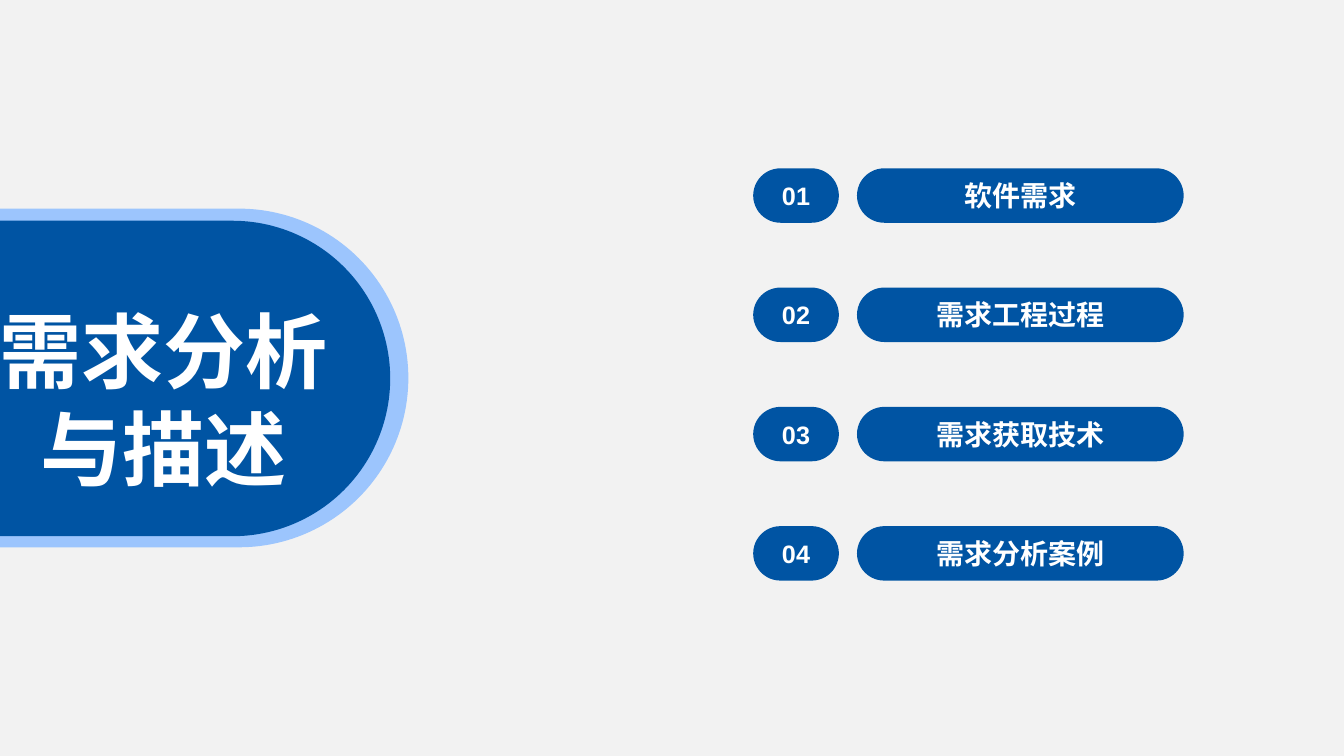
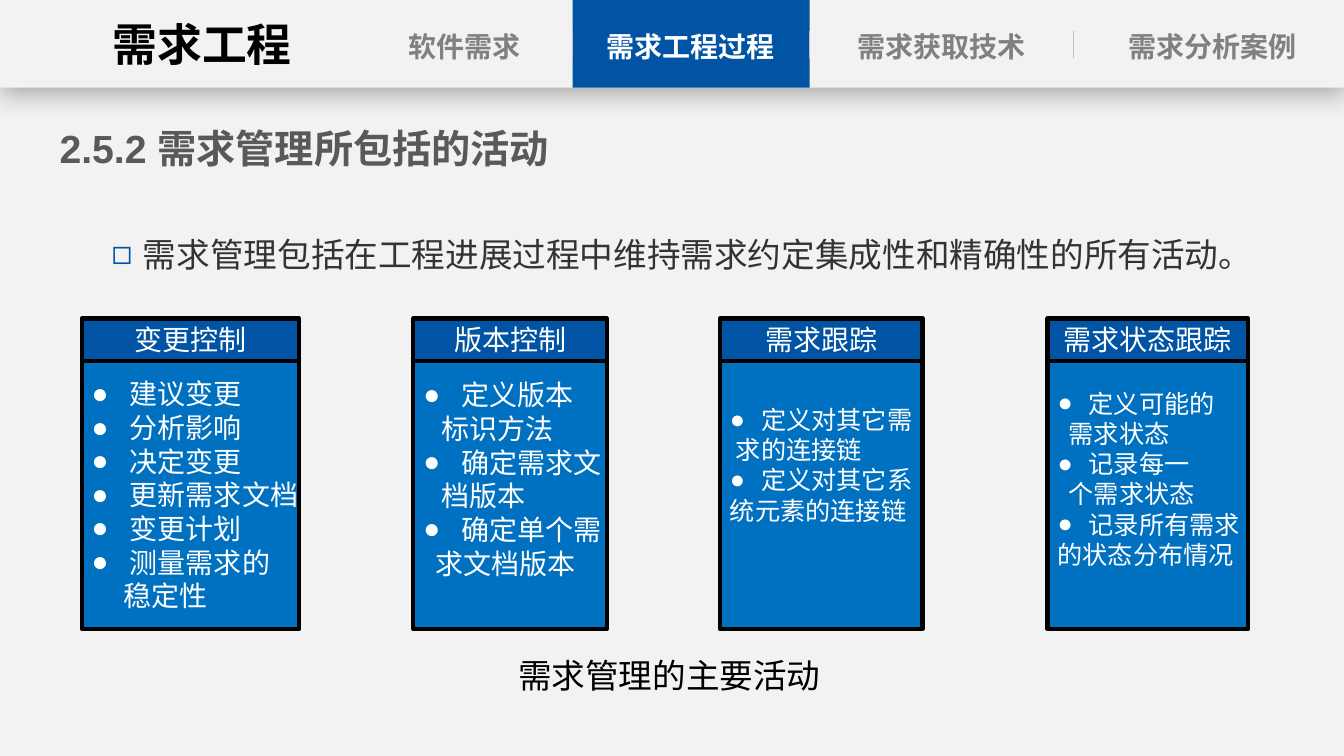
from dataclasses import dataclass
from typing import Any

from pptx import Presentation
from pptx.dml.color import RGBColor
from pptx.enum.lang import MSO_LANGUAGE_ID as Language
from pptx.enum.shapes import MSO_CONNECTOR as Connector, MSO_SHAPE as Preset
from pptx.enum.text import MSO_ANCHOR as Anchor, MSO_AUTO_SIZE as AutoSize, PP_ALIGN as Align
from pptx.oxml import parse_xml
from pptx.oxml.ns import nsdecls, qn
from pptx.util import Inches, Pt

COLORS = {
    "page": "F2F2F2",
    "primary": "0054A3",
    "halo": "9CC5FD",
    "card": "0070C0",
    "white": "FFFFFF",
    "black": "000000",
    "heading": "595959",
    "body": "333333",
    "muted": "808080",
    "divider": "BFBFBF",
}
FONT = "Arial"
SECTIONS = ["软件需求", "需求工程过程", "需求获取技术", "需求分析案例"]
TITLE_ONLY = 5
FLUSH = {"margin_left": 0, "margin_right": 0}


@dataclass(frozen=True)
class Style:
    size: float
    color: str
    bold: bool = False
    align: Align = Align.CENTER


@dataclass(frozen=True)
class Line:
    """One paragraph; indent is where its text starts, in inches."""
    text: str
    indent: float = 0
    bullet: str = ""
    bullet_color: str = ""
    spacing: float = 1


@dataclass(frozen=True)
class Tab:
    left: float
    width: float


@dataclass(frozen=True)
class Card:
    heading: str
    left: float
    width: float
    size: float
    top_margin: float
    lines: list[Line]


def item(text: str, indent: float) -> Line:
    return Line(text, indent, "●")


def rgb(name: str) -> RGBColor:
    return RGBColor.from_string(COLORS[name])


def set_bullet(paragraph: Any, line: Line) -> None:
    properties = paragraph._p.get_or_add_pPr()
    properties.set("marL", str(Inches(line.indent)))
    if not line.bullet:
        properties.set("indent", "0")
        return
    properties.set("indent", str(-Inches(line.indent)))
    if line.bullet_color:
        properties.append(parse_xml(
            f'<a:buClr {nsdecls("a")}><a:srgbClr val="{COLORS[line.bullet_color]}"/></a:buClr>'))
    properties.append(parse_xml(f'<a:buFont {nsdecls("a")} typeface="{FONT}"/>'))
    properties.append(parse_xml(f'<a:buChar {nsdecls("a")} char="{line.bullet}"/>'))


def write(shape: Any, lines: list[Line], style: Style, **frame_format: Any) -> None:
    frame = shape.text_frame
    defaults = {"auto_size": AutoSize.NONE, "word_wrap": True, "vertical_anchor": Anchor.TOP}
    for name, value in (defaults | frame_format).items():
        setattr(frame, name, value)
    font_format = {"name": FONT, "size": Pt(style.size), "bold": style.bold,
                   "language_id": Language.SIMPLIFIED_CHINESE}
    for index, line in enumerate(lines):
        paragraph = frame.add_paragraph() if index else frame.paragraphs[0]
        paragraph.alignment = style.align
        paragraph.line_spacing = line.spacing
        set_bullet(paragraph, line)
        run = paragraph.add_run()
        run.text = line.text
        for name, value in font_format.items():
            setattr(run.font, name, value)
        run.font.color.rgb = rgb(style.color)


def place(shape: Any, left: float, top: float, width: float, height: float) -> None:
    for name, value in zip(("left", "top", "width", "height"), (left, top, width, height)):
        setattr(shape, name, Inches(value))


def add_box(slide: Any, left: float, top: float, width: float, height: float,
            fill: str, outlined: bool = False, preset: Preset = Preset.RECTANGLE) -> Any:
    shape = slide.shapes.add_shape(
        preset, Inches(left), Inches(top), Inches(width), Inches(height))
    shape.shadow.inherit = False
    shape.fill.solid()
    shape.fill.fore_color.rgb = rgb(fill)
    if outlined:
        shape.line.color.rgb = rgb("black")
        shape.line.width = Pt(3)
    else:
        shape.line.fill.background()
    return shape


def add_pill(slide: Any, left: float, top: float, width: float, height: float,
             fill: str) -> Any:
    pill = add_box(slide, left, top, width, height, fill, preset=Preset.ROUNDED_RECTANGLE)
    pill.adjustments[0] = 0.5
    return pill


def add_text(slide: Any, left: float, top: float, width: float, height: float,
             line: Line, style: Style, **frame_format: Any) -> None:
    box = slide.shapes.add_textbox(Inches(left), Inches(top), Inches(width), Inches(height))
    write(box, [line], style, **frame_format)


def add_divider(slide: Any, x: float) -> None:
    divider = slide.shapes.add_connector(
        Connector.STRAIGHT, Inches(x), Inches(0.31), Inches(x), Inches(0.58))
    divider.line.color.rgb = rgb("divider")
    divider.line.width = Pt(0.5)
    divider.element.spPr.append(parse_xml(f'<a:effectLst {nsdecls("a")}/>'))


def add_band_shadow(band: Any) -> None:
    effects = band.element.spPr.find(qn("a:effectLst"))
    effects.append(parse_xml(
        f'<a:outerShdw {nsdecls("a")} blurRad="{Pt(18)}" dist="{Pt(4)}" dir="5400000" '
        f'algn="t" rotWithShape="0"><a:srgbClr val="{COLORS["black"]}">'
        '<a:alpha val="29000"/></a:srgbClr></a:outerShdw>'))


def add_navigation(slide: Any, active: int) -> None:
    band_height = 0.87
    tabs = [Tab(3.87, 1.47), Tab(5.95, 1.8), Tab(8.43, 1.81), Tab(11.11, 1.84)]
    dividers = [5.68, 8.03, 10.65]
    band = add_box(slide, 0, 0, 13.33, band_height, "page")
    add_band_shadow(band)
    start, end = dividers[active - 1:active + 1]
    add_box(slide, start, 0, end - start, band_height, "primary")
    for index, (section, tab) in enumerate(zip(SECTIONS, tabs)):
        style = Style(20, "white" if index == active else "muted", bold=True)
        add_text(slide, tab.left, 0.24, tab.width, 0.44, Line(section), style, **FLUSH)
    for x in dividers:
        add_divider(slide, x)
    add_text(slide, 0.81, 0.12, 2.39, 0.64, Line("需求工程"),
             Style(32, "black", bold=True), **FLUSH)


def add_card(slide: Any, card: Card) -> None:
    top, heading_height, body_height = 3.16, 0.42, 2.67
    body = add_box(slide, card.left, top + heading_height - 0.01, card.width, body_height,
                   "card", outlined=True)
    write(body, card.lines, Style(card.size, "white", align=Align.LEFT),
          word_wrap=False, margin_top=Inches(card.top_margin))
    heading = add_box(slide, card.left, top, card.width, heading_height,
                      "primary", outlined=True)
    write(heading, [Line(card.heading)], Style(20, "white"),
          word_wrap=False, vertical_anchor=Anchor.MIDDLE)


def build_contents(presentation: Any) -> None:
    slide = presentation.slides.add_slide(presentation.slide_layouts[TITLE_ONLY])
    add_pill(slide, -2.13, 2.07, 6.18, 3.36, "halo")
    add_pill(slide, -1.88, 2.19, 5.75, 3.13, "primary")
    title = slide.shapes.title
    place(title, -0.12, 2.93, 3.48, 2.07)
    write(title, [Line("需求分析"), Line("与描述")], Style(58.6, "white", bold=True),
          word_wrap=False)
    title.element.getparent().append(title.element)  # bring in front of the pills

    first_top, last_top = 1.67, 5.22
    pitch = (last_top - first_top) / (len(SECTIONS) - 1)
    for index, section in enumerate(SECTIONS):
        top = first_top + index * pitch
        for left, width, text, size in ((7.47, 0.85, f"{index + 1:02}", 18),
                                        (8.5, 3.24, section, 20)):
            pill = add_pill(slide, left, top, width, 0.54, "primary")
            write(pill, [Line(text)], Style(size, "white", bold=True),
                  vertical_anchor=Anchor.MIDDLE)


def build_activities(presentation: Any) -> None:
    slide = presentation.slides.add_slide(presentation.slide_layouts[TITLE_ONLY])
    add_navigation(slide, active=1)
    title = slide.shapes.title
    place(title, 0.59, 1.18, 6.37, 0.57)
    write(title, [Line("2.5.2 需求管理所包括的活动")],
          Style(28, "heading", bold=True, align=Align.LEFT), **FLUSH)
    add_text(slide, 1.01, 2.07, 11.31, 0.63,
             Line("需求管理包括在工程进展过程中维持需求约定集成性和精确性的所有活动。",
                  0.31, "◻", "primary", 1.5),
             Style(24, "body", align=Align.LEFT))

    wide, narrow = 0.38, 0.31
    changes = ["建议变更", "分析影响", "决定变更", "更新需求文档", "变更计划", "测量需求的"]
    cards = [
        Card("变更控制", 0.81, 2.16, 20, 0.17,
             [item(text, wide) for text in changes] + [Line("稳定性", 0.32)]),
        Card("版本控制", 4.1, 1.92, 20, 0.18, [
            item("定义版本", wide), Line("标识方法", 0.18),
            item("确定需求文", wide), Line("档版本", 0.18),
            item("确定单个需", wide), Line("求文档版本", 0.12)]),
        Card("需求跟踪", 7.14, 2.01, 18, 0.44, [
            item("定义对其它需", narrow), Line("求的连接链", 0.06),
            item("定义对其它系", narrow), Line("统元素的连接链")]),
        Card("需求状态跟踪", 10.39, 1.99, 18, 0.28, [
            item("定义可能的", narrow), Line("需求状态", 0.11),
            item("记录每一", narrow), Line("个需求状态", 0.11),
            item("记录所有需求", narrow), Line("的状态分布情况")]),
    ]
    for card in cards:
        add_card(slide, card)
    add_text(slide, 5.04, 6.45, 3.25, 0.5, Line("需求管理的主要活动"),
             Style(24, "black", align=Align.LEFT), word_wrap=False)


def main() -> None:
    presentation = Presentation()
    presentation.slide_width = Inches(13.33)
    presentation.slide_height = Inches(7.5)
    background = presentation.slide_master.background.fill
    background.solid()
    background.fore_color.rgb = rgb("page")
    build_contents(presentation)
    build_activities(presentation)
    presentation.save("out.pptx")


if __name__ == "__main__":
    main()
